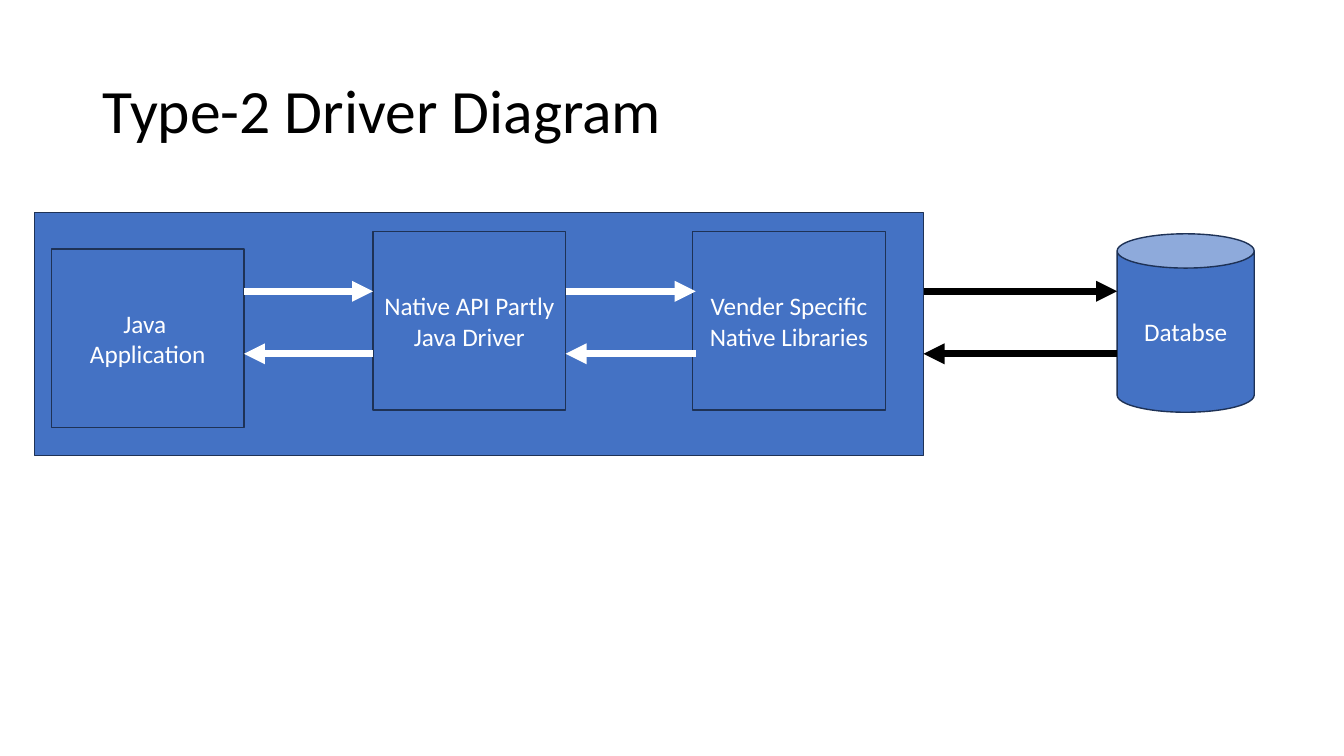
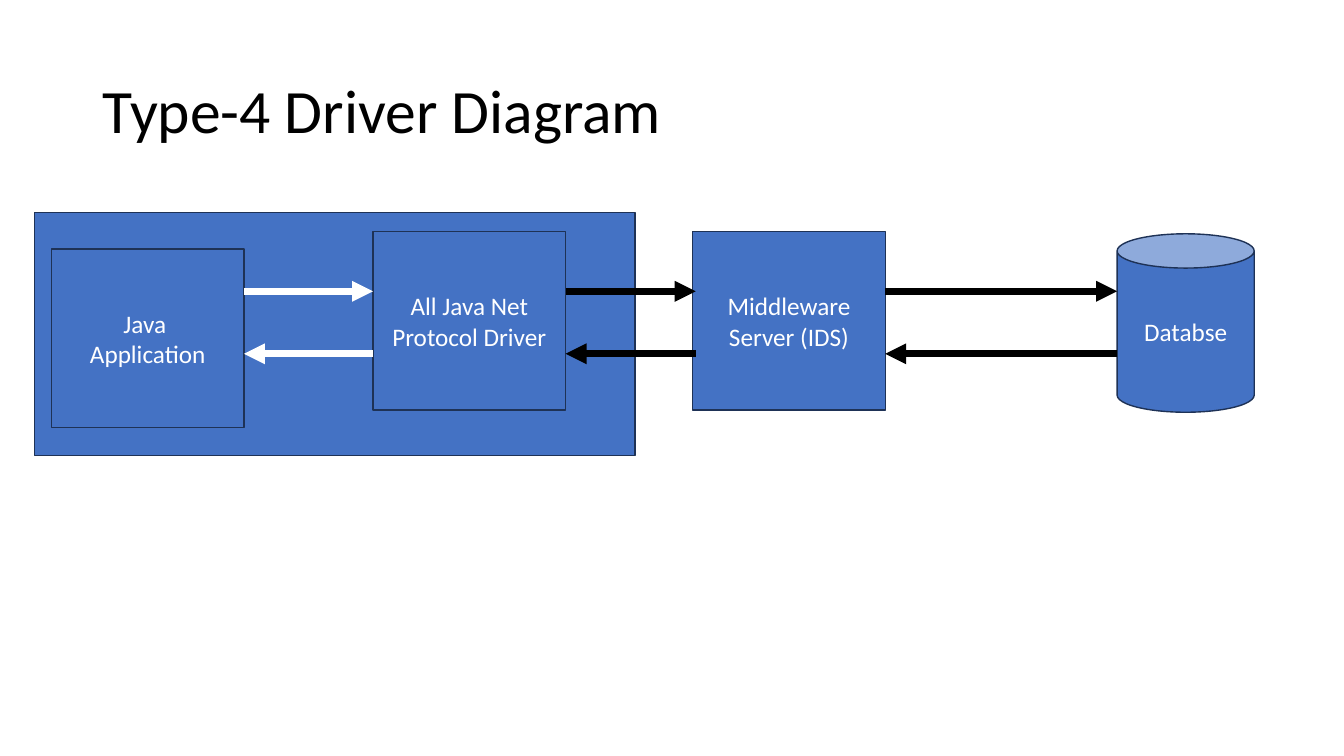
from dataclasses import dataclass

from lxml import etree
from pptx import Presentation
from pptx.dml.color import RGBColor
from pptx.enum.shapes import MSO_CONNECTOR, MSO_SHAPE
from pptx.enum.text import MSO_ANCHOR, MSO_AUTO_SIZE, PP_ALIGN
from pptx.oxml.ns import qn
from pptx.util import Inches, Pt

RECTANGLE = MSO_SHAPE.RECTANGLE
CAN = MSO_SHAPE.CAN
STRAIGHT = MSO_CONNECTOR.STRAIGHT
MIDDLE = MSO_ANCHOR.MIDDLE
NO_AUTOFIT = MSO_AUTO_SIZE.NONE
LEFT = PP_ALIGN.LEFT
CENTER = PP_ALIGN.CENTER
TITLE_ONLY = 5


@dataclass(frozen=True)
class Theme:
    font: str = "Calibri"
    title_size: Pt = Pt(44)
    label_size: Pt = Pt(18)
    outline_width: Pt = Pt(1)
    arrow_width: Pt = Pt(5)
    black: RGBColor = RGBColor(0x00, 0x00, 0x00)
    white: RGBColor = RGBColor(0xFF, 0xFF, 0xFF)
    blue: RGBColor = RGBColor(0x44, 0x72, 0xC4)
    navy: RGBColor = RGBColor(0x1E, 0x32, 0x56)


THEME = Theme()

HOST_LEFT, HOST_TOP, HOST_HEIGHT = 0.34, 2.11, 2.41
BOX_WIDTH, BOX_HEIGHT = 1.91, 1.77
APPLICATION_LEFT, APPLICATION_TOP = 0.51, 2.47
DRIVER_LEFT, SERVER_LEFT, BOX_TOP = 3.7, 6.87, 2.3
DATABASE_LEFT, DATABASE_TOP, DATABASE_WIDTH = 11.08, 2.32, 1.36
REQUEST_Y, REPLY_Y = 2.89, 3.51
ARROW_OVERLAP = 0.03


def style_text(frame, size, color, alignment):
    frame.word_wrap = True
    frame.vertical_anchor = MIDDLE
    for paragraph in frame.paragraphs:
        paragraph.alignment = alignment
        paragraph.font.name = THEME.font
        paragraph.font.size = size
        paragraph.font.color.rgb = color


def add_title(slide, text):
    title = slide.shapes.title
    title.left, title.top = Inches(0.92), Inches(0.4)
    title.width, title.height = Inches(11.5), Inches(1.45)
    frame = title.text_frame
    frame.text = text
    frame.auto_size = NO_AUTOFIT
    style_text(frame, THEME.title_size, THEME.black, LEFT)
    frame.paragraphs[0].line_spacing = 0.9


def add_block(slide, left, top, width, height, label="", outline=RECTANGLE):
    block = slide.shapes.add_shape(
        outline, Inches(left), Inches(top), Inches(width), Inches(height)
    )
    block.shadow.inherit = False
    block.fill.solid()
    block.fill.fore_color.rgb = THEME.blue
    block.line.color.rgb = THEME.navy
    block.line.width = THEME.outline_width
    if label:
        block.text_frame.text = label
        style_text(block.text_frame, THEME.label_size, THEME.white, CENTER)


def add_arrow(slide, start, end, y, color):
    arrow = slide.shapes.add_connector(
        STRAIGHT, Inches(start), Inches(y), Inches(end), Inches(y)
    )
    arrow.line.color.rgb = color
    arrow.line.width = THEME.arrow_width
    etree.SubElement(arrow.line._get_or_add_ln(), qn("a:tailEnd"), type="triangle")
    etree.SubElement(arrow._element.spPr, qn("a:effectLst"))


def add_exchange(slide, left, right, color):
    add_arrow(slide, left, right, REQUEST_Y, color)
    add_arrow(slide, right, left, REPLY_Y, color)


def add_driver_slide(deck, title, host_width, driver, server, server_link, database_link_left):
    slide = deck.slides.add_slide(deck.slide_layouts[TITLE_ONLY])
    add_title(slide, title)
    add_block(slide, HOST_LEFT, HOST_TOP, host_width, HOST_HEIGHT)
    for left, top, label in (
        (DRIVER_LEFT, BOX_TOP, driver),
        (SERVER_LEFT, BOX_TOP, server),
        (APPLICATION_LEFT, APPLICATION_TOP, "Java \nApplication"),
    ):
        add_block(slide, left, top, BOX_WIDTH, BOX_HEIGHT, label)
    add_block(
        slide, DATABASE_LEFT, DATABASE_TOP, DATABASE_WIDTH, BOX_HEIGHT, "Databse", CAN
    )
    add_exchange(slide, APPLICATION_LEFT + BOX_WIDTH, DRIVER_LEFT, THEME.white)
    add_exchange(
        slide, DRIVER_LEFT + BOX_WIDTH, SERVER_LEFT + ARROW_OVERLAP, server_link
    )
    add_exchange(slide, database_link_left, DATABASE_LEFT, THEME.black)


def main():
    deck = Presentation()
    deck.slide_width, deck.slide_height = Inches(13.33), Inches(7.5)
    native_host_width = 8.82
    add_driver_slide(
        deck,
        "Type-2 Driver Diagram",
        native_host_width,
        "Native API Partly Java Driver",
        "Vender Specific Native Libraries",
        THEME.white,
        HOST_LEFT + native_host_width,
    )
    add_driver_slide(
        deck,
        "Type-4 Driver Diagram",
        5.96,
        "All Java Net Protocol Driver",
        "Middleware Server (IDS)",
        THEME.black,
        SERVER_LEFT + BOX_WIDTH,
    )
    deck.save("out.pptx")


if __name__ == "__main__":
    main()
